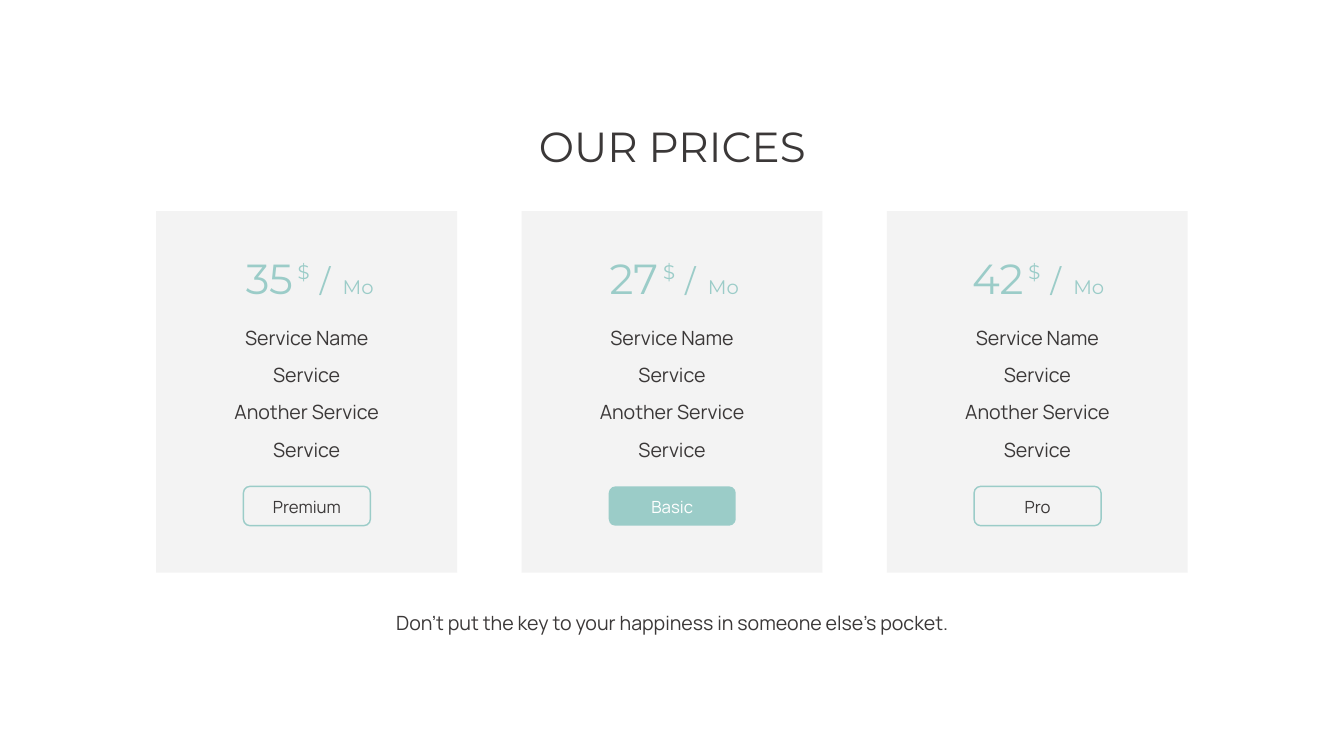
from lxml import etree
from pptx import Presentation
from pptx.dml.color import RGBColor
from pptx.enum.shapes import MSO_SHAPE
from pptx.enum.text import MSO_AUTO_SIZE, PP_ALIGN
from pptx.oxml.ns import qn
from pptx.util import Inches, Pt

RECT, ROUNDED = MSO_SHAPE.RECTANGLE, MSO_SHAPE.ROUNDED_RECTANGLE
LEFT, CENTER, RIGHT = PP_ALIGN.LEFT, PP_ALIGN.CENTER, PP_ALIGN.RIGHT
GROW = MSO_AUTO_SIZE.SHAPE_TO_FIT_TEXT

COLORS = {"white": "FFFFFF", "card": "F2F2F2", "mint": "9BCCC8", "ink": "3B3838"}
HEADING, BODY = "Montserrat", "Manrope"

# The grid: one cell is one inch
COLUMNS, ROWS = 26.67, 15
CARD_WIDTH, CARD_HEIGHT, CARD_STEP = 5.97, 7.17, 7.25
FIRST_CARD, CARD_TOP = 3.1, 4.19
SERVICE_TOP, SERVICE_STEP = 6.41, 0.74

SERVICES = ["Service Name", "Service", "Another Service", "Service"]
# Price, plan name, highlighted
PLANS = [("35", "Premium", False), ("27", "Basic", True), ("42", "Pro", False)]


def color(name):
    return RGBColor.from_string(COLORS[name])


def write(frame, text, font=BODY, size=28, ink="ink", align=CENTER):
    """Put one formatted line of text into a text frame."""
    paragraph = frame.paragraphs[0]
    paragraph.alignment = align
    run = paragraph.add_run()
    run.text = text
    run.font.name = font
    run.font.size = Pt(size)
    run.font.color.rgb = color(ink)


class PriceSlide:
    def __init__(self, presentation):
        self.slide = presentation.slides.add_slide(presentation.slide_layouts[6])
        self.cell_width = presentation.slide_width / COLUMNS
        self.cell_height = presentation.slide_height / ROWS
        background = self.slide.background.fill
        background.solid()
        background.fore_color.rgb = color("white")

    def place(self, left, top, width, height):
        return (round(left * self.cell_width), round(top * self.cell_height),
                round(width * self.cell_width), round(height * self.cell_height))

    def panel(self, *area, kind=RECT, fill=None, line=None, opacity=100):
        panel = self.slide.shapes.add_shape(kind, *self.place(*area))
        panel.shadow.inherit = False
        if fill:
            panel.fill.solid()
            panel.fill.fore_color.rgb = color(fill)
            if opacity < 100:
                tint = panel.fill._xPr.find(qn("a:solidFill"))[0]
                etree.SubElement(tint, qn("a:alpha"), val=str(opacity * 1000))
        else:
            panel.fill.background()
        if line:
            panel.line.color.rgb = color(line)
            panel.line.width = Pt(2)
        else:
            panel.line.fill.background()

    def label(self, text, *area, **style):
        frame = self.slide.shapes.add_textbox(*self.place(*area)).text_frame
        frame.word_wrap = True
        frame.auto_size = GROW
        write(frame, text, **style)

    def price(self, amount, left):
        parts = [  # text, offset, top, width, height, size, alignment
            (amount, 1.4, 4.97, 1.41, 1.11, 60, RIGHT),
            ("$", 2.71, 5.1, 0.51, 0.57, 28, LEFT),
            ("/", 3.12, 5.14, 0.46, 0.84, 44, CENTER),
            ("Mo", 3.6, 5.41, 0.97, 0.57, 28, LEFT),
        ]
        for text, offset, top, width, height, size, align in parts:
            self.label(text, left + offset, top, width, height,
                       font=HEADING, size=size, ink="mint", align=align)

    def button(self, plan, left, highlighted):
        look = {"fill": "mint"} if highlighted else {"line": "mint"}
        self.panel(left, 9.65, 2.52, 0.78, kind=ROUNDED, **look)
        self.label(plan, left, 9.81, 2.52, 0.5, size=24,
                   ink="white" if highlighted else "ink")

    def card(self, left, amount, plan, highlighted):
        self.panel(left, CARD_TOP, CARD_WIDTH, CARD_HEIGHT, fill="card", opacity=85)
        self.price(amount, left)
        for row, service in enumerate(SERVICES):
            self.label(service, left + 1.42, SERVICE_TOP + row * SERVICE_STEP, 3.13, 0.57)
        self.button(plan, left + 1.73, highlighted)


def main():
    presentation = Presentation()
    presentation.slide_width = Inches(COLUMNS)
    presentation.slide_height = Inches(ROWS)
    prices = PriceSlide(presentation)

    # Veil over the background
    prices.panel(0, 0, COLUMNS, ROWS, fill="white", opacity=52)

    # One card per plan
    for index, plan in enumerate(PLANS):
        prices.card(FIRST_CARD + index * CARD_STEP, *plan)

    # Title and closing line
    prices.label("OUR PRICES", 3.67, 2.34, 19.34, 1.11, font=HEADING, size=60)
    prices.label("Don’t put the key to your happiness in someone else’s pocket.",
                 4.06, 12.08, 18.56, 0.57)

    presentation.save("out.pptx")


if __name__ == "__main__":
    main()
